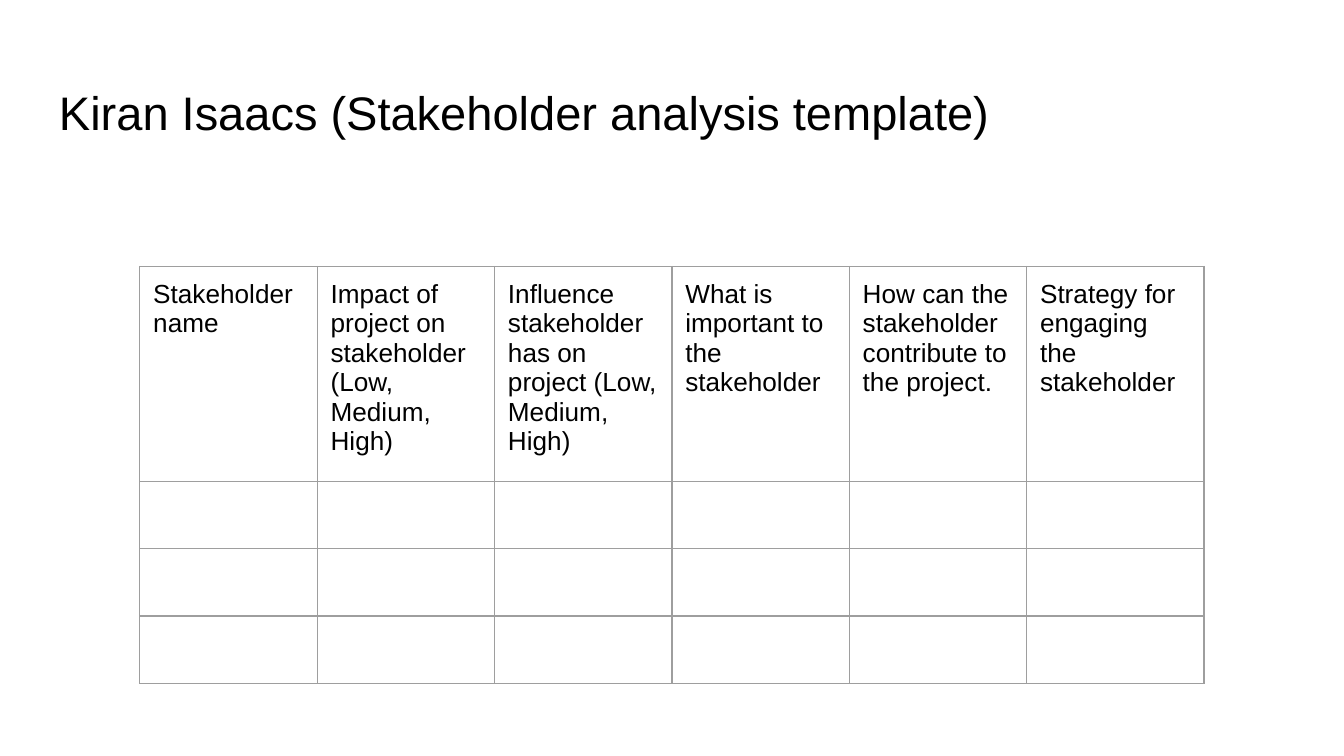
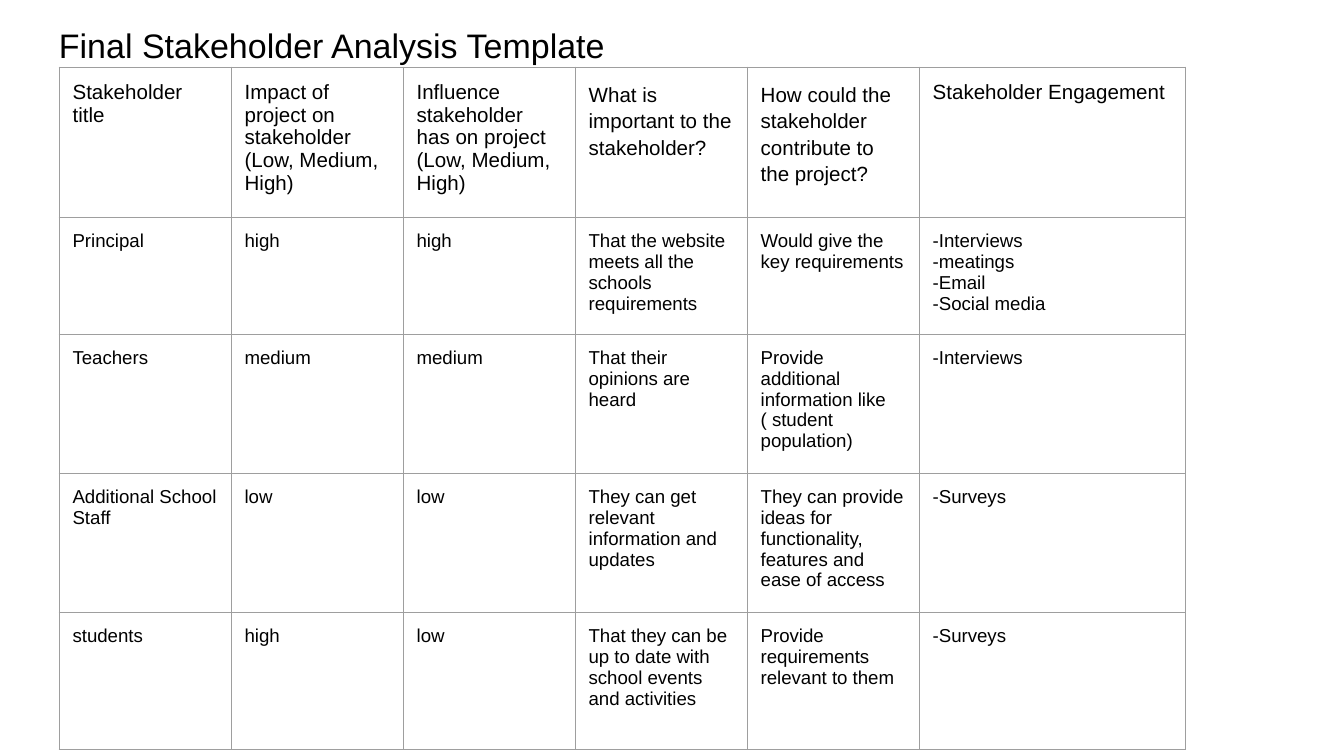
from dataclasses import dataclass

from lxml import etree
from pptx import Presentation
from pptx import util as u
from pptx.dml.color import RGBColor
from pptx.enum import text
from pptx.oxml import ns

INK = RGBColor(0x00, 0x00, 0x00)
RULE = RGBColor(0x9E, 0x9E, 0x9E)
FONT = "Arial"
INSET = u.Inches(0.1)
TITLE_TOP_INSET = u.Inches(0.13)
RULE_WIDTH = u.Pt(0.75)

SLIDE_WIDTH = u.Inches(10)
SLIDE_HEIGHT = SLIDE_WIDTH * 9 // 16
GRID_COLUMNS = 1000
GRID_ROWS = 562

TEMPLATE_ROWS = [
    [
        "Stakeholder name",
        "Impact of project on stakeholder (Low, Medium, High)",
        "Influence stakeholder has on project (Low, Medium, High)",
        "What is important to the stakeholder",
        "How can the stakeholder contribute to the project.",
        "Strategy for engaging the stakeholder",
    ],
] + [[""] * 6] * 3

FINAL_ROWS = [
    [
        "Stakeholder title",
        "Impact of project on stakeholder (Low, Medium, High)",
        "Influence stakeholder has on project (Low, Medium, High)",
        "What is important to the stakeholder?",
        "How could the stakeholder contribute to the project?",
        "Stakeholder Engagement",
    ],
    [
        "Principal", "high", "high",
        "That the website meets all the schools requirements",
        "Would give the key requirements",
        "-Interviews\n-meatings\n-Email\n-Social media",
    ],
    [
        "Teachers", "medium", "medium",
        "That their opinions are heard",
        "Provide additional information like ( student population)",
        "-Interviews",
    ],
    [
        "Additional School Staff", "low", "low",
        "They can get relevant information and updates",
        "They can provide ideas for functionality, features and ease of access",
        "-Surveys",
    ],
    [
        "students", "high", "low",
        "That they can be up to date with school events and activities",
        "Provide requirements relevant to them",
        "-Surveys",
    ],
]


@dataclass
class Box:
    """Area of the slide in grid columns and rows."""

    left: float
    top: float
    width: float
    height: float

    def place(self):
        """Return left, top, width and height as slide lengths."""
        return (across(self.left), down(self.top), across(self.width), down(self.height))


def across(columns):
    """Turn grid columns into a length."""
    return u.Emu(round(SLIDE_WIDTH * columns / GRID_COLUMNS))


def down(rows):
    """Turn grid rows into a length."""
    return u.Emu(round(SLIDE_HEIGHT * rows / GRID_ROWS))


def format_runs(frame, size):
    """Give every run the shared font, colour and a size."""
    for paragraph in frame.paragraphs:
        for run in paragraph.runs:
            run.font.name = FONT
            run.font.size = u.Pt(size)
            run.font.color.rgb = INK


def add_title(slide, box, title, size):
    """Add the slide's title at the top of its box."""
    frame = slide.shapes.add_textbox(*box.place()).text_frame
    frame.word_wrap = True
    frame.vertical_anchor = text.MSO_ANCHOR.TOP
    frame.margin_left = frame.margin_right = frame.margin_bottom = INSET
    frame.margin_top = TITLE_TOP_INSET
    frame.text = title
    format_runs(frame, size)


def rule_cell(cell):
    """Draw the four borders of a cell and leave it unfilled."""
    properties = cell._tc.get_or_add_tcPr()
    for side in ("a:lnL", "a:lnR", "a:lnT", "a:lnB"):
        line = etree.SubElement(properties, ns.qn(side), w=str(RULE_WIDTH))
        fill = etree.SubElement(line, ns.qn("a:solidFill"))
        etree.SubElement(fill, ns.qn("a:srgbClr"), val=str(RULE))
    cell.fill.background()


def add_grid(slide, left, top, widths, heights, rows, header_size, body_size):
    """Add a ruled table and return it."""
    box = Box(left, top, sum(widths), sum(heights))
    table = slide.shapes.add_table(len(heights), len(widths), *box.place()).table
    table.first_row = table.horz_banding = False
    for column, width in zip(table.columns, widths):
        column.width = across(width)
    for row_index, (row, height, words) in enumerate(zip(table.rows, heights, rows)):
        row.height = down(height)
        for cell, content in zip(row.cells, words):
            rule_cell(cell)
            cell.margin_left = cell.margin_right = INSET
            cell.margin_top = cell.margin_bottom = INSET
            if content:
                cell.text_frame.text = content
                format_runs(cell.text_frame, body_size if row_index else header_size)
    return table


def build_template_slide(slide):
    """Build the empty stakeholder analysis."""
    add_title(slide, Box(34, 49, 932, 63), "Kiran Isaacs (Stakeholder analysis template)", 25.2)
    add_grid(slide, 104, 198, [132] * 6, [42] * 4, TEMPLATE_ROWS, 14, 14)


def build_final_slide(slide):
    """Build the completed stakeholder analysis."""
    add_title(slide, Box(34, 5, 932, 45), "Final Stakeholder Analysis Template", 18.2)
    table = add_grid(slide, 44, 50, [128] * 5 + [198], [97, 61, 83, 79, 102], FINAL_ROWS, 11, 10)
    for question in (3, 4):
        paragraph = table.cell(0, question).text_frame.paragraphs[0]
        paragraph.line_spacing = 1.15
        paragraph.space_before = u.Pt(12)


def main():
    """Build and save the presentation."""
    presentation = Presentation()
    presentation.slide_width = SLIDE_WIDTH
    presentation.slide_height = SLIDE_HEIGHT
    blank = presentation.slide_layouts[6]
    for build in (build_template_slide, build_final_slide):
        build(presentation.slides.add_slide(blank))
    presentation.save("out.pptx")


if __name__ == "__main__":
    main()
